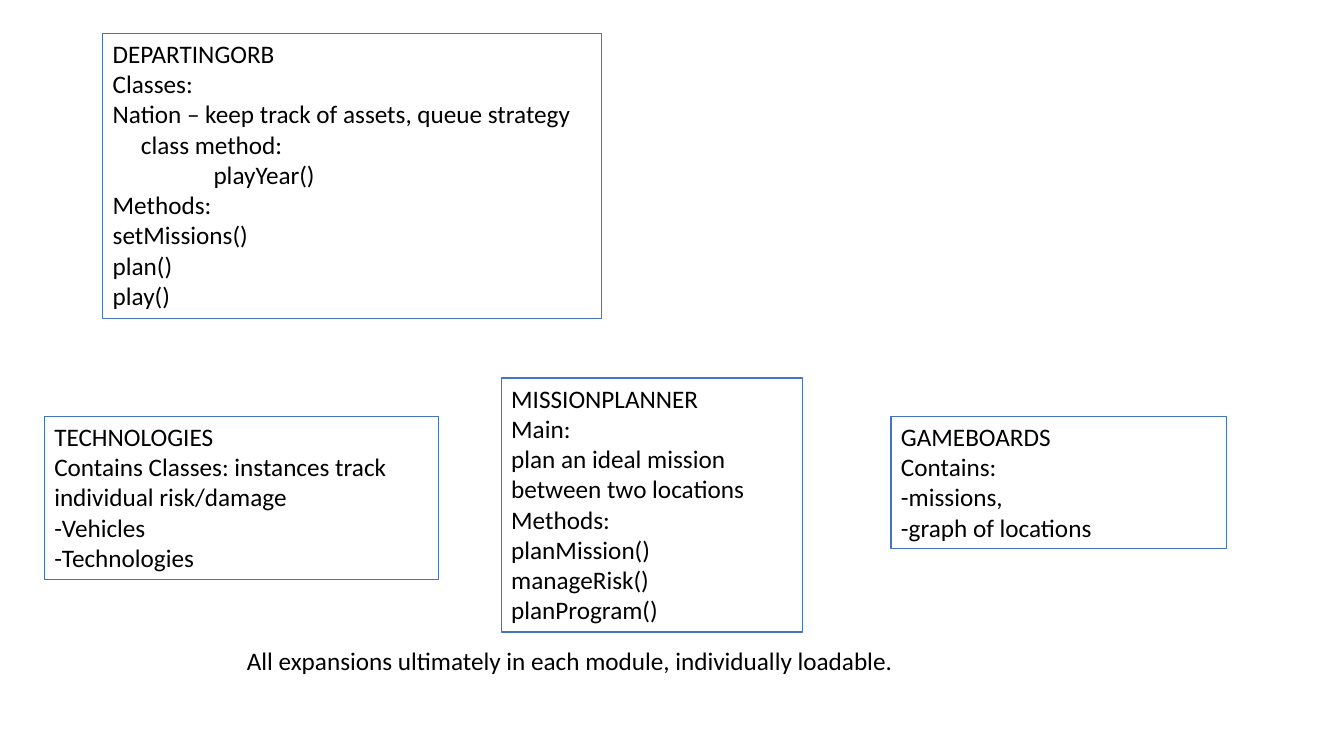
from pptx import Presentation
from pptx.dml.color import RGBColor
from pptx.enum.shapes import MSO_SHAPE
from pptx.enum.text import MSO_ANCHOR, MSO_AUTO_SIZE, PP_ALIGN
from pptx.util import Inches, Pt

BLACK = RGBColor(0x00, 0x00, 0x00)
WHITE = RGBColor(0xFF, 0xFF, 0xFF)
BLUE = RGBColor(0x44, 0x72, 0xC4)
RECT = MSO_SHAPE.RECTANGLE
TOP = MSO_ANCHOR.TOP
LEFT = PP_ALIGN.LEFT
FIT = MSO_AUTO_SIZE.SHAPE_TO_FIT_TEXT
WIDE, HIGH = Inches(13.33), Inches(7.5)
BLANK = 6
ROW = 55.07  # shared top of the two outer modules

# Boxes are left, top, width, height in percent of the slide.
# "\v" breaks a line within a paragraph.
MODULES = [
    ((3.3, ROW, 29.33, 21.6), [
        "TECHNOLOGIES",
        "Contains Classes: instances track individual risk/damage",
        "-Vehicles",
        "-Technologies"]),
    ((7.65, 4.4, 37.13, 37.73), [
        "DEPARTINGORB",
        "Classes:\vNation – keep track of assets, queue strategy",
        "class method:",
        "playYear()",
        "Methods:",
        "setMissions()",
        "plan()",
        "play()"]),
    ((66.3, ROW, 24.98, 17.47), [
        "GAMEBOARDS",
        "Contains:",
        "-missions,",
        "-graph of locations"]),
    ((37.3, 50, 22.43, 33.6), [
        "MISSIONPLANNER",
        "Main:\vplan an ideal mission between two locations",
        "Methods:\vplanMission()",
        "manageRisk()",
        "planProgram()"]),
]
INDENTS = {"class method:": Inches(0.28), "playYear()": Inches(1)}
NOTE = "All expansions ultimately in each module, individually loadable."
NOTE_BOX = (17.63, 84.67, 50.1, 5.33)


def place(box):
    """Turn percent shares into slide lengths."""
    return [int(size * part / 100)
            for size, part in zip((WIDE, HIGH, WIDE, HIGH), box)]


def write(frame, lines, wrap):
    frame.text = "\n".join(lines)
    frame.word_wrap = wrap
    frame.auto_size = FIT
    frame.vertical_anchor = TOP
    for para in frame.paragraphs:
        para.alignment = LEFT
        if para.text in INDENTS:
            props = para._p.get_or_add_pPr()
            props.set("marL", str(INDENTS[para.text]))
            props.set("indent", "0")
        for run in para.runs:
            run.font.name = "Calibri"
            run.font.size = Pt(18)
            run.font.color.rgb = BLACK


def add_module(slide, box, lines):
    card = slide.shapes.add_shape(RECT, *place(box))
    card.shadow.inherit = False
    card.fill.solid()
    card.fill.fore_color.rgb = WHITE
    card.line.color.rgb = BLUE
    card.line.width = Pt(1)
    write(card.text_frame, lines, True)


def add_note(slide, box, text):
    note = slide.shapes.add_textbox(*place(box))
    write(note.text_frame, [text], False)


def main():
    deck = Presentation()
    deck.slide_width, deck.slide_height = WIDE, HIGH
    slide = deck.slides.add_slide(deck.slide_layouts[BLANK])
    for box, lines in MODULES:
        add_module(slide, box, lines)
    add_note(slide, NOTE_BOX, NOTE)
    deck.save("out.pptx")


if __name__ == "__main__":
    main()
